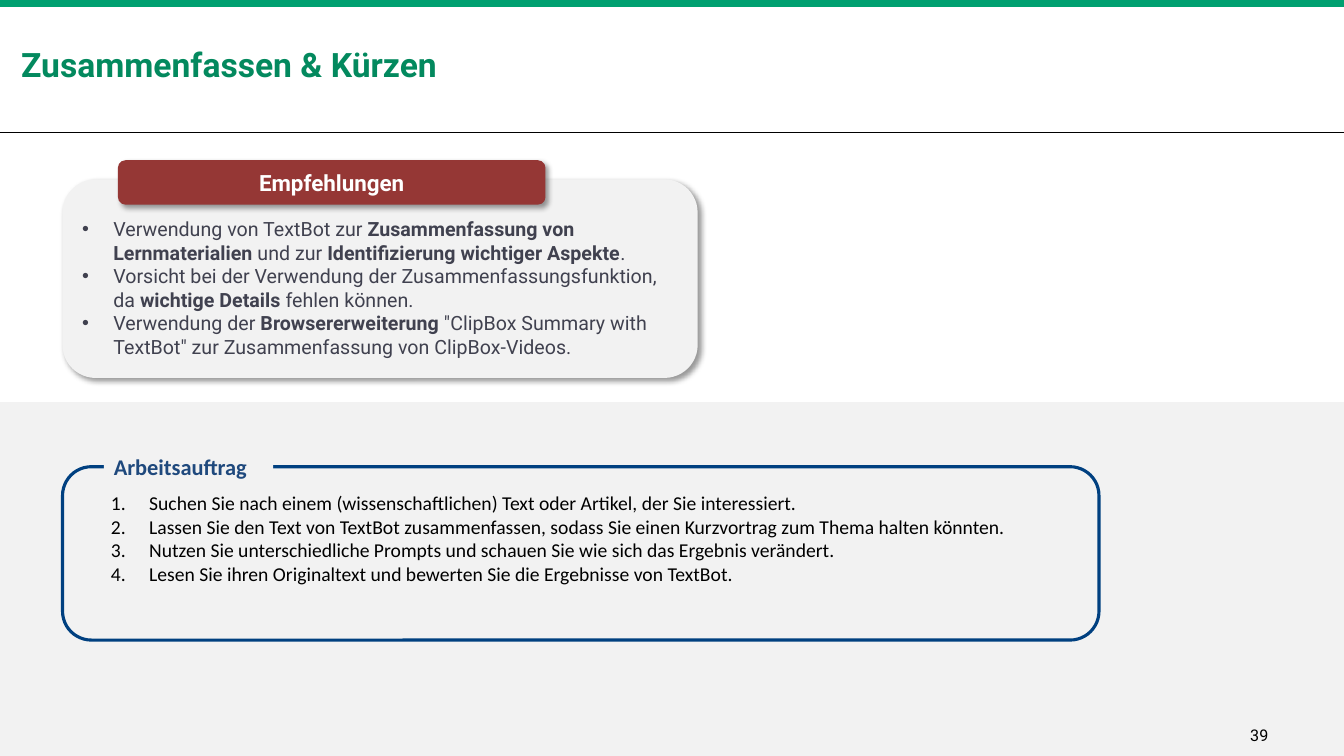
from dataclasses import dataclass

from lxml.etree import SubElement
from pptx import Presentation
from pptx.dml.color import RGBColor
from pptx.enum.shapes import MSO_CONNECTOR, MSO_SHAPE
from pptx.enum.text import MSO_ANCHOR, PP_ALIGN
from pptx.oxml.ns import qn
from pptx.util import Inches, Pt


@dataclass(frozen=True)
class Theme:
    """Colours, fonts and type sizes of the deck."""
    green: str = "00A070"
    title_green: str = "03895E"
    grey: str = "F2F2F2"
    red: str = "953735"
    navy: str = "004080"
    blue: str = "1F497D"
    slate: str = "40414F"
    black: str = "000000"
    white: str = "FFFFFF"
    heading_font: str = "Roboto"
    task_font: str = "Calibri"
    title_size: float = 24
    label_size: float = 16
    body_size: float = 14
    number_size: float = 11.5


class SlideBuilder:
    """Draws styled elements on the current slide."""

    def __init__(self, page, theme):
        """Keep the slide and its theme."""
        self.page = page
        self.theme = theme

    def shape(self, kind, area, fill=None, line=None, shadow=False):
        """Add a preset shape with optional fill, outline and shadow."""
        box = self.page.shapes.add_shape(kind, *map(Inches, area))
        box.shadow.inherit = False
        if fill:
            box.fill.solid()
            box.fill.fore_color.rgb = RGBColor.from_string(fill)
        else:
            box.fill.background()
        if line:
            box.line.color.rgb = RGBColor.from_string(line)
            box.line.width = Pt(2.25)
        else:
            box.line.fill.background()
        if shadow:
            self.drop_shadow(box)
        return box

    def drop_shadow(self, box):
        """Give a shape a soft shadow towards the lower right."""
        effects = box._element.spPr.find(qn("a:effectLst"))
        outer = SubElement(effects, qn("a:outerShdw"), blurRad=str(Pt(4)), dist=str(Pt(3)),
                           dir="2700000", algn="tl", rotWithShape="0")
        color = SubElement(outer, qn("a:srgbClr"), val=self.theme.black)
        SubElement(color, qn("a:alpha"), val="40000")

    def rule(self, top, color):
        """Add a thin line across the slide."""
        line = self.page.shapes.add_connector(
            MSO_CONNECTOR.STRAIGHT, 0, Inches(top), Inches(13.33), Inches(top))
        line.line.color.rgb = RGBColor.from_string(color)
        line.line.width = Pt(0.72)
        SubElement(line._element.spPr, qn("a:effectLst"))

    def text_box(self, area):
        """Add an empty text box."""
        return self.page.shapes.add_textbox(*map(Inches, area))

    def add_text(self, box, paragraphs, font, size, color, inset=(0, 0),
                 anchor=MSO_ANCHOR.TOP, align=PP_ALIGN.LEFT, bullet=None, indent=0):
        """Fill a shape with paragraphs made of (text, bold) runs."""
        frame = box.text_frame
        frame.word_wrap = True
        frame.vertical_anchor = anchor
        frame.margin_left = frame.margin_right = Inches(inset[0])
        frame.margin_top = frame.margin_bottom = Inches(inset[1])
        for index, runs in enumerate(paragraphs):
            para = frame.add_paragraph() if index else frame.paragraphs[0]
            para.alignment = align
            if bullet:
                self.bullet(para, bullet, indent)
            for text, bold in runs:
                span = para.add_run()
                span.text = text
                span.font.name = font
                span.font.size = Pt(size)
                span.font.bold = bold
                span.font.color.rgb = RGBColor.from_string(color)

    def bullet(self, para, bullet, indent):
        """Give a paragraph a hanging bullet or number."""
        props = para._p.get_or_add_pPr()
        props.set("marL", str(Inches(indent)))
        props.set("indent", str(-Inches(indent)))
        if bullet == "1.":
            SubElement(props, qn("a:buFont"), typeface="+mj-lt")
            SubElement(props, qn("a:buAutoNum"), type="arabicPeriod")
        else:
            SubElement(props, qn("a:buFont"), typeface="Arial")
            SubElement(props, qn("a:buChar"), char=bullet)


RECOMMENDATIONS = [
    [("Verwendung von TextBot zur ", False), ("Zusammenfassung von Lernmaterialien", True),
     (" und zur ", False), ("Identifizierung wichtiger Aspekte", True), (".", False)],
    [("Vorsicht bei der Verwendung der Zusammenfassungsfunktion, da ", False),
     ("wichtige Details ", True), ("fehlen können.", False)],
    [("Verwendung der ", False), ("Browsererweiterung", True),
     (' "ClipBox Summary with TextBot" zur Zusammenfassung von ClipBox-Videos.', False)],
]
TASKS = [
    "Suchen Sie nach einem (wissenschaftlichen) Text oder Artikel, der Sie interessiert.",
    "Lassen Sie den Text von TextBot zusammenfassen, sodass Sie einen Kurzvortrag zum Thema halten könnten.",
    "Nutzen Sie unterschiedliche Prompts und schauen Sie wie sich das Ergebnis verändert.",
    "Lesen Sie ihren Originaltext und bewerten Sie die Ergebnisse von TextBot.",
]


def main():
    """Build the slide and save the deck."""
    deck = Presentation()
    deck.slide_width, deck.slide_height = Inches(13.33), Inches(7.5)
    theme = Theme()
    slide = SlideBuilder(deck.slides.add_slide(deck.slide_layouts[6]), theme)
    rectangle, rounded = MSO_SHAPE.RECTANGLE, MSO_SHAPE.ROUNDED_RECTANGLE

    slide.rule(1.31, theme.black)
    slide.shape(rectangle, (0, 0, 13.33, 0.07), theme.green)
    slide.shape(rectangle, (0, 3.99, 13.33, 3.51), theme.grey)
    title = slide.text_box((0.21, 0.44, 12.91, 0.4))
    slide.add_text(title, [[("Zusammenfassen & Kürzen", True)]], theme.heading_font,
                   theme.title_size, theme.title_green, anchor=MSO_ANCHOR.BOTTOM)
    number = slide.text_box((12.4, 7.2, 0.33, 0.15))
    slide.add_text(number, [[("39", False)]], theme.heading_font, theme.number_size, theme.black)

    advice = slide.shape(rounded, (0.62, 1.78, 6.3, 1.97), theme.grey, shadow=True)
    slide.add_text(advice, RECOMMENDATIONS, theme.heading_font, theme.body_size, theme.slate,
                   inset=(0.1, 0.1), anchor=MSO_ANCHOR.BOTTOM, bullet="•", indent=0.31)
    advice_label = slide.shape(rounded, (1.17, 1.59, 4.24, 0.44), theme.red, shadow=True)
    slide.add_text(advice_label, [[("Empfehlungen", True)]], theme.heading_font, theme.label_size,
                   theme.white, anchor=MSO_ANCHOR.MIDDLE, align=PP_ALIGN.CENTER)

    slide.shape(rounded, (0.62, 4.63, 10.28, 1.72), line=theme.navy)
    task_label = slide.shape(rectangle, (1.03, 4.45, 1.68, 0.37), theme.grey)
    slide.add_text(task_label, [[("Arbeitsauftrag", True)]], theme.task_font, theme.label_size,
                   theme.blue, inset=(0.1, 0.05))
    tasks = slide.text_box((1.1, 4.87, 9.13, 1.98))
    slide.add_text(tasks, [[(task, False)] for task in TASKS], theme.task_font, theme.body_size,
                   theme.black, bullet="1.", indent=0.38)
    deck.save("out.pptx")


if __name__ == "__main__":
    main()
